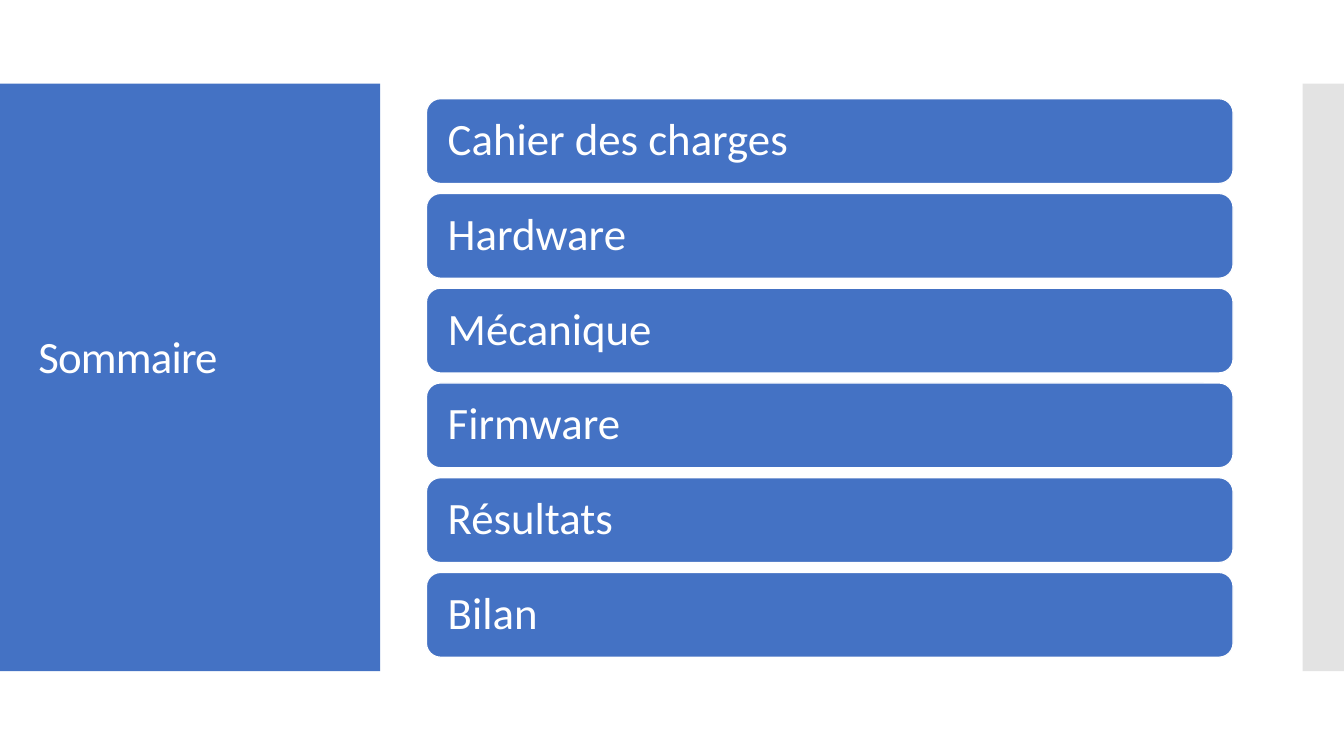
"""Build the agenda slide: a title panel beside a stack of topic bars."""
from typing import NamedTuple

from lxml.etree import SubElement
from pptx import Presentation
from pptx.dml.color import RGBColor
from pptx.enum.shapes import MSO_SHAPE as Kind
from pptx.enum.text import MSO_ANCHOR as Anchor, MSO_AUTO_SIZE as Fit, PP_ALIGN as Align
from pptx.oxml.ns import qn
from pptx.shapes.autoshape import Shape
from pptx.text.text import TextFrame
from pptx.util import Inches, Pt

BLUE = RGBColor(0x44, 0x72, 0xC4)
GREY = RGBColor(0xC8, 0xC8, 0xC8)
WHITE = RGBColor(0xFF, 0xFF, 0xFF)
FONT = "Calibri"
TOPICS = ["Cahier des charges", "Hardware", "Mécanique", "Firmware", "Résultats", "Bilan"]
TOP, STEP = 0.98, 0.94


class Box(NamedTuple):
    """Hold a place and size in inches."""
    left: float
    top: float
    width: float
    height: float


def draw(kind: Kind, box: Box, fill: RGBColor) -> Shape:
    """Add a flat filled shape without an outline."""
    shape = slide.shapes.add_shape(kind, *map(Inches, box))
    shape.shadow.inherit = False
    shape.fill.solid()
    shape.fill.fore_color.rgb = fill
    shape.line.fill.background()
    return shape


def write(frame: TextFrame, text: str, anchor: Anchor) -> None:
    """Put one left-aligned white line into a frame."""
    frame.text = text
    frame.word_wrap = True
    frame.auto_size = Fit.NONE
    frame.vertical_anchor = anchor
    line = frame.paragraphs[0]
    line.alignment = Align.LEFT
    line.line_spacing = 0.9
    line.font.name = FONT
    line.font.size = Pt(32)
    line.font.color.rgb = WHITE


def add_bar(box: Box, text: str) -> None:
    """Add a rounded topic bar with its label."""
    bar = draw(Kind.ROUNDED_RECTANGLE, box, BLUE)
    bar.line.color.rgb = WHITE
    bar.line.width = Pt(0.85)
    frame = bar.text_frame
    frame.margin_left = frame.margin_right = Inches(0.17)
    write(frame, text, Anchor.MIDDLE)


deck = Presentation()
deck.slide_width, deck.slide_height = Inches(13.33), Inches(7.5)
slide = deck.slides.add_slide(deck.slide_layouts[5])

draw(Kind.RECTANGLE, Box(0, 0.83, 3.77, 5.83), BLUE)
strip = draw(Kind.RECTANGLE, Box(12.92, 0.83, 0.41, 5.83), GREY)
tint = strip.fill._xPr.find(qn("a:solidFill"))[0]
SubElement(tint, qn("a:alpha"), val="50000")

title = slide.shapes.title
title.left, title.top, title.width, title.height = map(Inches, Box(0.28, 1.25, 3.1, 2.6))
write(title.text_frame, "Sommaire", Anchor.BOTTOM)
word = title.text_frame.paragraphs[0].runs[0]
word._r.get_or_add_rPr().set("spc", "-60")
slide.shapes._spTree.append(title._element)

for row, topic in enumerate(TOPICS):
    add_bar(Box(4.23, TOP + row * STEP, 8, 0.84), topic)

deck.save("out.pptx")
